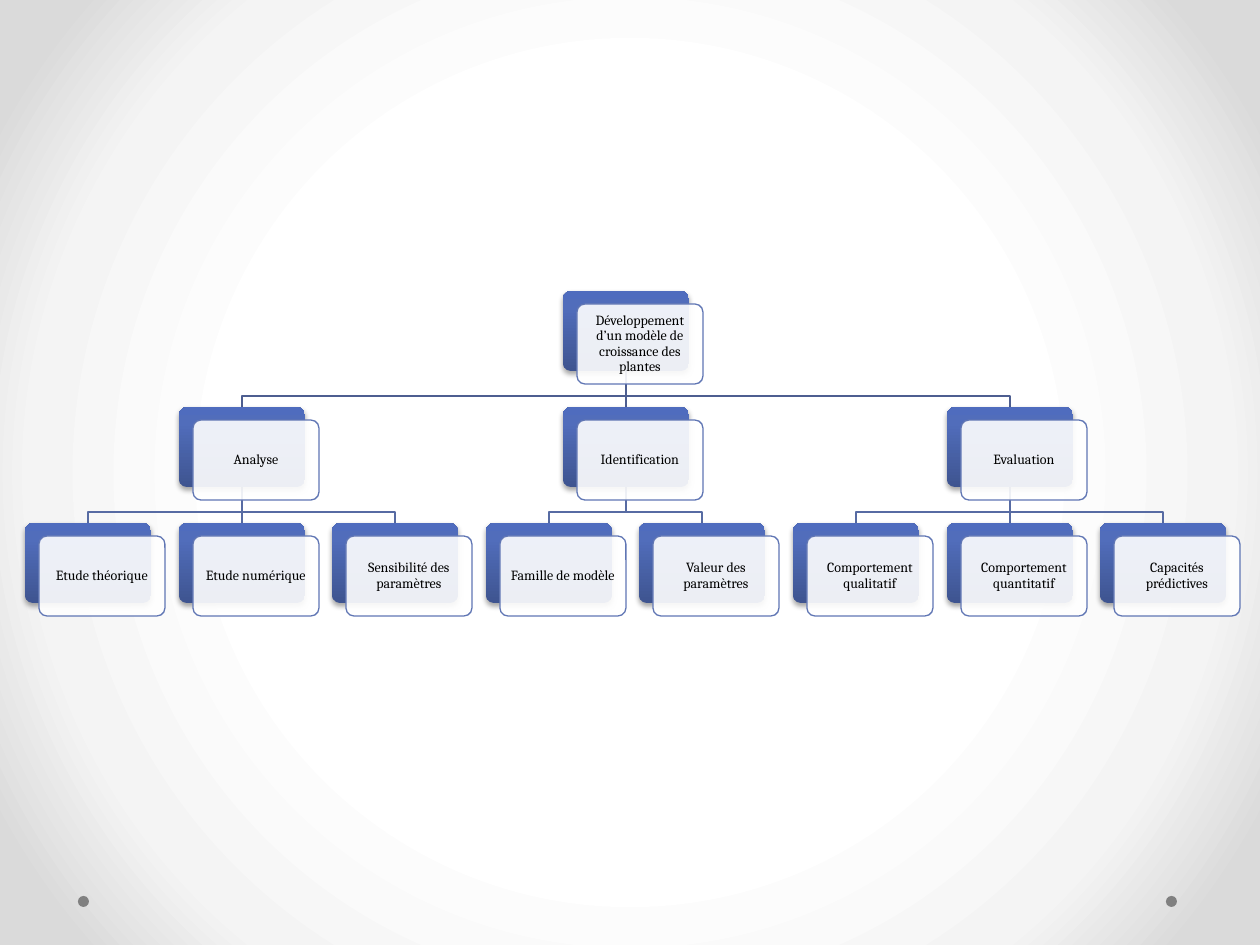
from lxml import etree
from pptx import Presentation
from pptx import util as u
from pptx.dml.color import RGBColor
from pptx.enum import shapes, text
from pptx.oxml.ns import qn

PX = u.Inches(1) / 126
FONT = "Cambria"
BLACK = RGBColor(0x00, 0x00, 0x00)
WHITE = RGBColor(0xFF, 0xFF, 0xFF)
GREY = RGBColor(0x80, 0x80, 0x80)
OUTLINE = RGBColor(0x60, 0x76, 0xB4)
BRANCH_LINE = RGBColor(0x4D, 0x5E, 0x90)
LEAF_LINE = RGBColor(0x57, 0x6B, 0xA3)
PLATE_STOPS = [(0, RGBColor(0x3E, 0x54, 0x90)), (80, RGBColor(0x51, 0x6D, 0xBB)),
               (100, RGBColor(0x4F, 0x6C, 0xBE))]
BACKDROP_STOPS = [(50, WHITE), (76, RGBColor(0xF4, 0xF4, 0xF4)),
                  (92, RGBColor(0xDA, 0xDA, 0xDA))]

# Tree geometry in px
CARD_W, CARD_H = 126, 80
LEFT, COLUMN_PITCH = 25, 153.6
TOP, ROW_PITCH = 291, 116
SHIFT_X, SHIFT_Y = 14, 13
ELBOW_DROP = 25

ROOT = "Développement d’un modèle de croissance des plantes"
BRANCHES = {
    "Analyse": ["Etude théorique", "Etude numérique", "Sensibilité des paramètres"],
    "Identification": ["Famille de modèle", "Valeur des paramètres"],
    "Evaluation": ["Comportement qualitatif", "Comportement quantitatif",
                   "Capacités prédictives"],
}


def px(length):
    return u.Emu(round(length * PX))


def add_xml(parent, tag, **attributes):
    child = etree.SubElement(parent, qn(tag))
    for name, value in attributes.items():
        child.set(name, str(value))
    return child


def set_gradient(fill, owner, stops, angle=None):
    """Linear at the given angle, or circular from the centre without one."""
    fill.gradient()
    gradient = owner.find(".//" + qn("a:gradFill"))
    for child in list(gradient):
        gradient.remove(child)
    stop_list = add_xml(gradient, "a:gsLst")
    for position, color in stops:
        stop = add_xml(stop_list, "a:gs", pos=position * 1000)
        add_xml(stop, "a:srgbClr", val=color)
    if angle is None:
        circle = add_xml(gradient, "a:path", path="circle")
        add_xml(circle, "a:fillToRect", l=50000, t=50000, r=50000, b=50000)
    else:
        add_xml(gradient, "a:lin", ang=angle * 60000, scaled=0)


class TreeSlide:
    def __init__(self, slide):
        self.slide = slide

    def backdrop(self):
        set_gradient(self.slide.background.fill, self.slide._element.cSld, BACKDROP_STOPS)

    def shape(self, kind, left, top, width, height):
        shape = self.slide.shapes.add_shape(kind, px(left), px(top), px(width), px(height))
        shape.shadow.inherit = False
        return shape

    def dot(self, left, top, size):
        dot = self.shape(shapes.MSO_SHAPE.OVAL, left, top, size, size)
        dot.fill.solid()
        dot.fill.fore_color.rgb = GREY
        dot.line.fill.background()

    def link(self, parent, child, color):
        """Join the foot of the parent card to the head of the child card."""
        x1, y1 = parent[0] + CARD_W // 2, parent[1] + CARD_H
        x2, y2 = child[0] + CARD_W // 2, child[1]
        if x1 == x2:
            link = self.slide.shapes.add_connector(
                shapes.MSO_CONNECTOR.STRAIGHT, px(x1), px(y1), px(x2), px(y2))
            add_xml(link._element.spPr, "a:effectLst")
        else:
            elbow = y1 + ELBOW_DROP
            outline = self.slide.shapes.build_freeform(x1, y1, scale=PX)
            outline.add_line_segments([(x1, elbow), (x2, elbow), (x2, y2)], close=False)
            link = outline.convert_to_shape()
            link.shadow.inherit = False
            link.fill.background()
        link.line.color.rgb = color
        link.line.width = u.Pt(0.75)

    def card(self, position, label):
        left, top = position
        rounded = shapes.MSO_SHAPE.ROUNDED_RECTANGLE

        # Blue plate with a soft shadow
        plate = self.shape(rounded, left, top, CARD_W, CARD_H)
        plate.adjustments[0] = 0.1
        set_gradient(plate.fill, plate._element.spPr, PLATE_STOPS, angle=270)
        plate.line.fill.background()
        effects = plate._element.spPr.find(qn("a:effectLst"))
        shadow = add_xml(effects, "a:outerShdw", blurRad=u.Pt(3.1), dist=u.Pt(1.8),
                         dir=90 * 60000, rotWithShape=0)
        add_xml(add_xml(shadow, "a:srgbClr", val=BLACK), "a:alpha", val=35000)

        # Translucent front with the label
        front = self.shape(rounded, left + SHIFT_X, top + SHIFT_Y, CARD_W, CARD_H)
        front.adjustments[0] = 0.1
        front.fill.solid()
        front.fill.fore_color.rgb = WHITE
        add_xml(front._element.spPr.find(".//" + qn("a:srgbClr")), "a:alpha", val=90000)
        front.line.color.rgb = OUTLINE
        front.line.width = u.Pt(0.75)
        frame = front.text_frame
        frame.word_wrap = True
        frame.vertical_anchor = text.MSO_ANCHOR.MIDDLE
        frame.margin_left = frame.margin_right = px(4)
        frame.margin_top = frame.margin_bottom = px(4)
        paragraph = frame.paragraphs[0]
        paragraph.text = label
        paragraph.alignment = text.PP_ALIGN.CENTER
        paragraph.line_spacing = 0.9
        paragraph.font.name = FONT
        paragraph.font.size = u.Pt(8)
        paragraph.font.color.rgb = BLACK


def place(column, row):
    return round(LEFT + column * COLUMN_PITCH), TOP + row * ROW_PITCH


def main():
    deck = Presentation()
    deck.slide_width, deck.slide_height = px(1260), px(945)
    tree = TreeSlide(deck.slides.add_slide(deck.slide_layouts[6]))

    # Backdrop and corner dots
    tree.backdrop()
    for left in (1166, 78):
        tree.dot(left, 896, 11)

    # Leaves fill the columns; each parent is centred over its children
    root = place((sum(map(len, BRANCHES.values())) - 1) / 2, 0)
    cards = [(root, ROOT)]
    links = []
    first = 0
    for branch, leaves in BRANCHES.items():
        branch_place = place(first + (len(leaves) - 1) / 2, 1)
        cards.append((branch_place, branch))
        links.append((root, branch_place, BRANCH_LINE))
        for column, leaf in enumerate(leaves, first):
            leaf_place = place(column, 2)
            cards.append((leaf_place, leaf))
            links.append((branch_place, leaf_place, LEAF_LINE))
        first += len(leaves)

    # Links lie behind the cards
    for link in links:
        tree.link(*link)
    for card in cards:
        tree.card(*card)

    deck.save("out.pptx")


if __name__ == "__main__":
    main()
